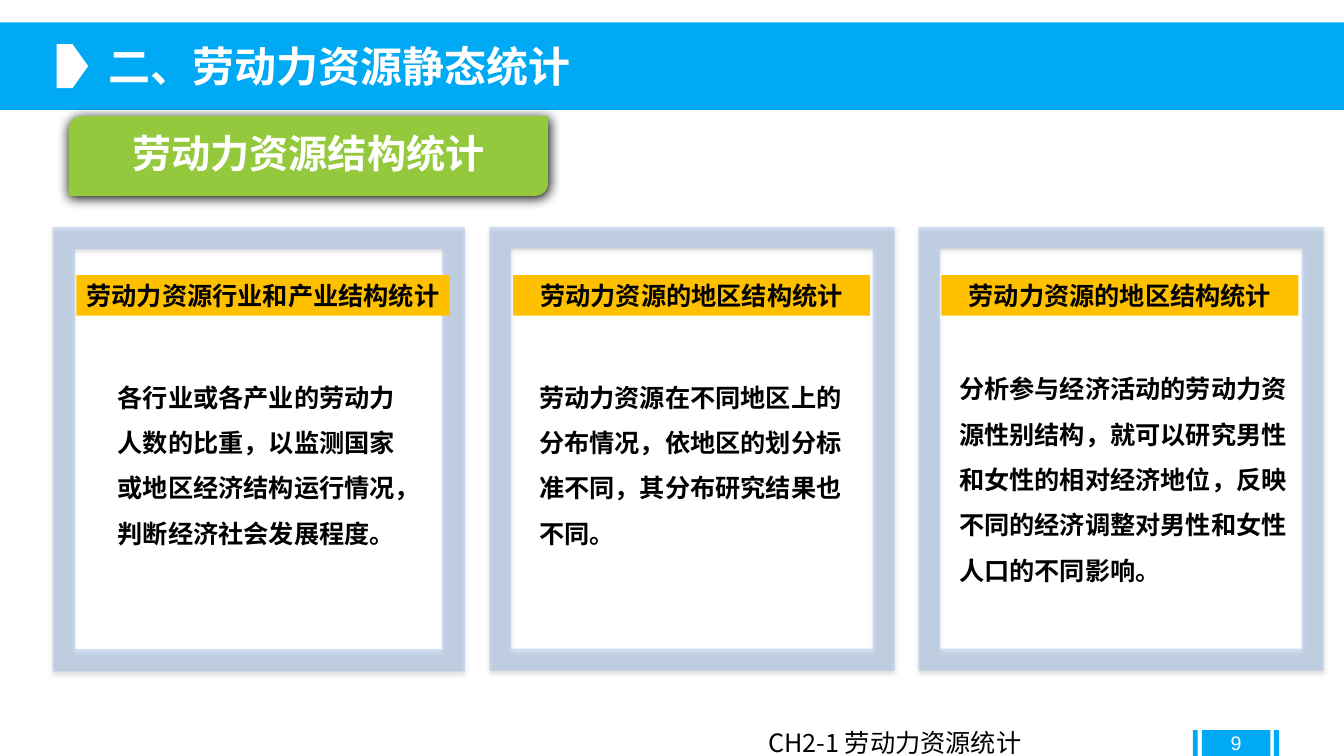
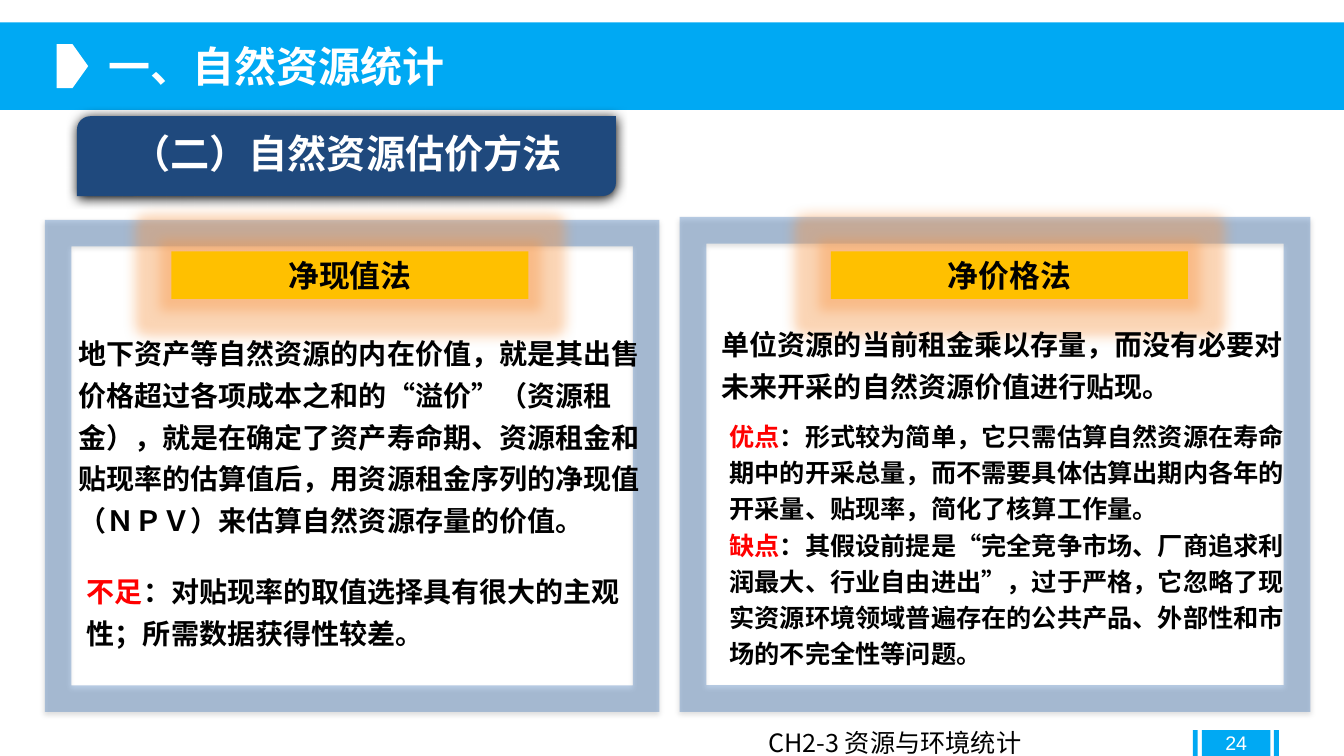
import dataclasses

import lxml.etree
import pptx
import pptx.dml.color
import pptx.enum.shapes
import pptx.enum.text
import pptx.oxml.ns
import pptx.shapes.autoshape
import pptx.slide
import pptx.text.text
import pptx.util

Pt = pptx.util.Pt
SHAPE = pptx.enum.shapes.MSO_SHAPE
ALIGN = pptx.enum.text.PP_ALIGN
ANCHOR = pptx.enum.text.MSO_ANCHOR

FACE = "Noto Sans CJK SC"
BLUE = "00A9F3"
GREEN = "94C93D"
NAVY = "1F497D"
AMBER = "FFC000"
ORANGE = "F79646"
RED = "FF0000"
BLACK = "000000"
WHITE = "FFFFFF"


@dataclasses.dataclass(frozen=True)
class Area:
    left: float
    top: float
    width: float
    height: float

    def lengths(self) -> tuple[int, int, int, int]:
        return Pt(self.left), Pt(self.top), Pt(self.width), Pt(self.height)


@dataclasses.dataclass(frozen=True)
class Paragraph:
    text: str
    lead: str = ""


@dataclasses.dataclass(frozen=True)
class Passage:
    area: Area
    paragraphs: tuple[Paragraph, ...]


@dataclasses.dataclass(frozen=True)
class Card:
    frame: Area
    tag: Area
    heading: str
    passages: tuple[Passage, ...]


@dataclasses.dataclass(frozen=True)
class Topic:
    title: str
    chapter: str
    number: int
    label: str
    label_area: Area
    label_color: str
    frame_color: str
    heading_size: float
    glow: bool
    cards: tuple[Card, ...]


@dataclasses.dataclass(frozen=True)
class Shadow:
    blur: float
    distance: float
    opacity: int


CARD_SHADOW = Shadow(3.5, 2.2, 32)
LABEL_SHADOW = Shadow(8.5, 1, 100)

BAND = Area(0, 16, 960, 62.5)
FOOTER_BLOCKS = (
    Area(858.5, 521.5, 49, 19.5),
    Area(910, 521.5, 3.5, 19.5),
    Area(852, 521.5, 3.5, 19.5),
)
MARKER = Area(40.5, 31.5, 22.5, 31.5)
TITLE = Area(70.5, 25, 850, 52)
CHAPTER = Area(541.5, 516, 309, 29)
NUMBER = Area(858.5, 516, 49, 29)


def rgb(color: str) -> pptx.dml.color.RGBColor:
    return pptx.dml.color.RGBColor.from_string(color)


def add_xml(parent, tag: str, **attributes):
    values = {name: str(value) for name, value in attributes.items()}
    return lxml.etree.SubElement(parent, pptx.oxml.ns.qn(tag), values)


def add_figure(page: pptx.slide.Slide, kind: SHAPE, area: Area, color: str,
               opacity: int = 100) -> pptx.shapes.autoshape.Shape:
    figure = page.shapes.add_shape(kind, *area.lengths())
    figure.fill.solid()
    figure.fill.fore_color.rgb = rgb(color)
    figure.line.fill.background()
    figure.shadow.inherit = False
    if opacity < 100:
        tint = next(figure.element.spPr.iter(pptx.oxml.ns.qn("a:srgbClr")))
        add_xml(tint, "a:alpha", val=opacity * 1000)
    return figure


def add_effect(figure: pptx.shapes.autoshape.Shape, tag: str, color: str,
               opacity: int, **attributes) -> None:
    effects = figure.element.spPr.find(pptx.oxml.ns.qn("a:effectLst"))
    tint = add_xml(add_xml(effects, tag, **attributes), "a:srgbClr", val=color)
    add_xml(tint, "a:alpha", val=opacity * 1000)


def add_shadow(figure: pptx.shapes.autoshape.Shape, shadow: Shadow) -> None:
    add_effect(figure, "a:outerShdw", BLACK, shadow.opacity,
               blurRad=Pt(shadow.blur), dist=Pt(shadow.distance),
               dir=90 * 60000, rotWithShape=0)


def add_span(para, text: str, *, size: float, color: str = BLACK,
             bold: bool = True, face: str = FACE) -> None:
    span = para.add_run()
    span.text = text
    span.font.size = Pt(size)
    span.font.bold = bold
    span.font.color.rgb = rgb(color)
    span.font.name = face
    add_xml(span._r.get_or_add_rPr(), "a:ea", typeface=face)


def write_line(box, text: str, *, align: ALIGN = ALIGN.LEFT,
               anchor: ANCHOR = ANCHOR.TOP, spacing: float = 1, **style) -> None:
    box.text_frame.word_wrap = True
    box.text_frame.auto_size = pptx.enum.text.MSO_AUTO_SIZE.NONE
    box.text_frame.vertical_anchor = anchor
    para = box.text_frame.paragraphs[0]
    para.alignment = align
    para.line_spacing = spacing
    add_span(para, text, **style)


def write_passage(page: pptx.slide.Slide, passage: Passage, size: float,
                  spacing: float) -> None:
    box = page.shapes.add_textbox(*passage.area.lengths())
    box.text_frame.word_wrap = True
    for index, paragraph in enumerate(passage.paragraphs):
        para = (box.text_frame.add_paragraph() if index
                else box.text_frame.paragraphs[0])
        para.line_spacing = spacing
        if paragraph.lead:
            add_span(para, paragraph.lead, size=size, color=RED)
        add_span(para, paragraph.text, size=size)


@dataclasses.dataclass(frozen=True)
class SizedPassage(Passage):
    size: float = 18
    spacing: float = 1.5


def dress_layout(page: pptx.slide.Slide) -> None:
    figures = [add_figure(page, SHAPE.RECTANGLE, area, BLUE)
               for area in (BAND, *FOOTER_BLOCKS)]
    figures.append(add_figure(page, SHAPE.PENTAGON, MARKER, WHITE))
    for identifier, figure in enumerate(figures, start=100):
        figure.element.nvSpPr.cNvPr.set("id", str(identifier))
        page.slide_layout.shapes.element.append(figure.element)


def draw_card(page: pptx.slide.Slide, card: Card, topic: Topic) -> None:
    frame = add_figure(page, SHAPE.FRAME, card.frame, topic.frame_color, 40)
    frame.adjustments[0] = 0.054
    add_shadow(frame, CARD_SHADOW)
    tag = add_figure(page, SHAPE.RECTANGLE, card.tag, AMBER)
    if topic.glow:
        add_effect(tag, "a:glow", ORANGE, 40, rad=Pt(18))
    write_line(tag, card.heading, size=topic.heading_size, align=ALIGN.CENTER)
    for passage in card.passages:
        write_passage(page, passage, passage.size, passage.spacing)


def draw_topic(page: pptx.slide.Slide, topic: Topic) -> None:
    title = page.shapes.title
    title.left, title.top, title.width, title.height = TITLE.lengths()
    write_line(title, topic.title, size=30, color=WHITE)

    label = add_figure(page, SHAPE.ROUND_2_DIAG_RECTANGLE, topic.label_area,
                       topic.label_color)
    add_shadow(label, LABEL_SHADOW)
    frame = label.text_frame
    frame.margin_left = frame.margin_right = Pt(22.5)
    frame.margin_top = frame.margin_bottom = Pt(8.5)
    write_line(label, topic.label, size=28, color=WHITE, align=ALIGN.CENTER,
               anchor=ANCHOR.MIDDLE, spacing=0.9)

    for card in topic.cards:
        draw_card(page, card, topic)

    chapter = page.shapes.add_textbox(*CHAPTER.lengths())
    write_line(chapter, topic.chapter, size=18, bold=False)
    number = page.shapes.add_textbox(*NUMBER.lengths())
    write_line(number, str(topic.number), size=14, color=WHITE, bold=False,
               face="Arial", align=ALIGN.CENTER, anchor=ANCHOR.MIDDLE)


TOPICS = (
    Topic(
        "二、劳动力资源静态统计", "CH2-1 劳动力资源统计", 9,
        "劳动力资源结构统计", Area(49, 83, 342.5, 57), GREEN, "8EB4E3", 18, False,
        (
            Card(Area(37.5, 162, 294.5, 317.5), Area(54.5, 196.5, 266.5, 29),
                 "劳动力资源行业和产业结构统计",
                 (SizedPassage(Area(77, 258.5, 215.5, 134.5), (Paragraph(
                     "各行业或各产业的劳动力人数的比重，以监测国家或地区经济结构运行情况，"
                     "判断经济社会发展程度。"),)),)),
            Card(Area(349.5, 162, 289.5, 317), Area(366.5, 196.5, 255, 29),
                 "劳动力资源的地区结构统计",
                 (SizedPassage(Area(378, 258.5, 232.5, 138), (Paragraph(
                     "劳动力资源在不同地区上的分布情况，依地区的划分标准不同，"
                     "其分布研究结果也不同。"),)),)),
            Card(Area(656, 162, 289.5, 317), Area(672.5, 196.5, 255, 29),
                 "劳动力资源的地区结构统计",
                 (SizedPassage(Area(678, 252.5, 249, 170.5), (Paragraph(
                     "分析参与经济活动的劳动力资源性别结构，就可以研究男性和女性的相对经济地位，"
                     "反映不同的经济调整对男性和女性人口的不同影响。"),)),)),
        ),
    ),
    Topic(
        "一、自然资源统计", "CH2-3 资源与环境统计", 24,
        "（二）自然资源估价方法", Area(55, 83, 385, 57), NAVY, "4F81BD", 22, True,
        (
            Card(Area(32, 157, 439, 351.5), Area(122.5, 179.5, 255, 34), "净现值法",
                 (SizedPassage(Area(49, 230.5, 425.5, 158.5), (Paragraph(
                     "地下资产等自然资源的内在价值，就是其出售价格超过各项成本之和的“溢价”"
                     "（资源租金），就是在确定了资产寿命期、资源租金和贴现率的估算值后，"
                     "用资源租金序列的净现值（ＮＰＶ）来估算自然资源存量的价值。"),), 20, 1.25),
                  SizedPassage(Area(55, 400.5, 408, 67.5), (Paragraph(
                      "：对贴现率的取值选择具有很大的主观性；所需数据获得性较差。",
                      "不足"),), 20, 1.25))),
            Card(Area(485.5, 155, 450.5, 353.5), Area(593.5, 179.5, 255, 34), "净价格法",
                 (SizedPassage(Area(508.5, 224.5, 420, 67.5), (Paragraph(
                     "单位资源的当前租金乘以存量，而没有必要对未来开采的自然资源价值进行贴现。"),),
                     20, 1.25),
                  SizedPassage(Area(514, 293, 420, 188), (
                      Paragraph(
                          "：形式较为简单，它只需估算自然资源在寿命期中的开采总量，"
                          "而不需要具体估算出期内各年的开采量、贴现率，简化了核算工作量。",
                          "优点"),
                      Paragraph(
                          "：其假设前提是“完全竞争市场、厂商追求利润最大、行业自由进出”，"
                          "过于严格，它忽略了现实资源环境领域普遍存在的公共产品、"
                          "外部性和市场的不完全性等问题。", "缺点")), 18, 1.2))),
        ),
    ),
)


def main() -> None:
    deck = pptx.Presentation()
    deck.slide_width, deck.slide_height = Pt(960), Pt(540)
    layout = deck.slide_layouts[5]
    pages = [deck.slides.add_slide(layout) for topic in TOPICS]
    dress_layout(pages[0])
    for page, topic in zip(pages, TOPICS):
        draw_topic(page, topic)
    deck.save("out.pptx")


if __name__ == "__main__":
    main()
